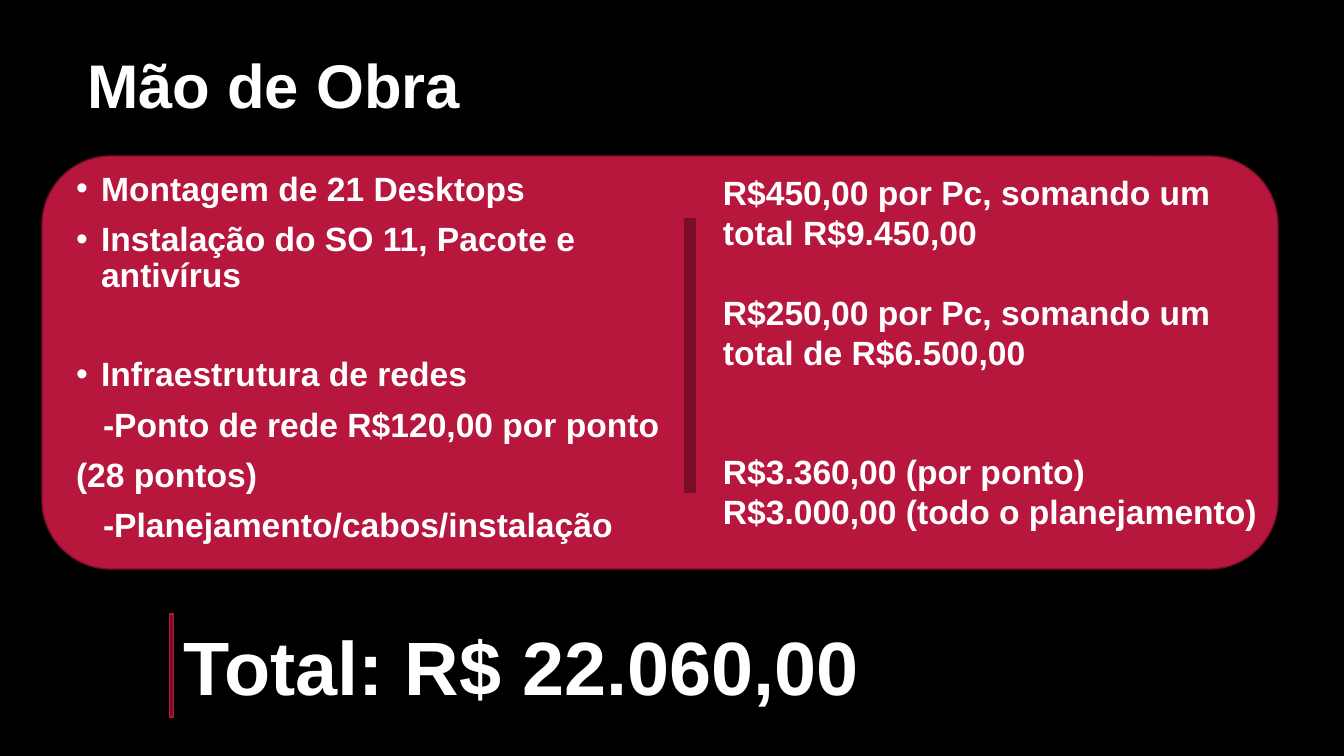
from lxml.etree import SubElement
from pptx import Presentation
from pptx.dml.color import RGBColor
from pptx.enum.shapes import MSO_SHAPE
from pptx.enum.text import MSO_ANCHOR, MSO_AUTO_SIZE, PP_ALIGN
from pptx.oxml.ns import qn
from pptx.util import Emu, Pt

PX = 12192000 / 1344
THEME = {
    "font": "Arial",
    "black": RGBColor(0x00, 0x00, 0x00),
    "white": RGBColor(0xFF, 0xFF, 0xFF),
    "crimson": RGBColor(0xB7, 0x16, 0x3D),
    "wine": RGBColor(0x7A, 0x0E, 0x29),
    "title": Pt(44),
    "text": Pt(24),
    "total": Pt(54),
}


def place(sp, *box):
    for name, px in zip(("left", "top", "width", "height"), box):
        setattr(sp, name, Emu(round(px * PX)))


def write(sp, lines, size, auto_size, spacing=None):
    tf = sp.text_frame
    frame_format = {"word_wrap": True, "auto_size": auto_size, "vertical_anchor": MSO_ANCHOR.TOP}
    for name, value in frame_format.items():
        setattr(tf, name, value)
    for i, (text, before) in enumerate(lines):
        p = tf.paragraphs[0] if i == 0 else tf.add_paragraph()
        para_format = {"alignment": PP_ALIGN.LEFT, "line_spacing": spacing,
                       "space_before": Pt(before), "space_after": Pt(0)}
        for name, value in para_format.items():
            setattr(p, name, value)
        r = p.add_run()
        r.text = text
        for name, value in {"name": THEME["font"], "size": size, "bold": True}.items():
            setattr(r.font, name, value)
        r.font.color.rgb = THEME["white"]


prs = Presentation()
prs.slide_width, prs.slide_height = Emu(round(1344 * PX)), Emu(round(756 * PX))
s = prs.slides.add_slide(prs.slide_layouts[1])
s.background.fill.solid()
s.background.fill.fore_color.rgb = THEME["black"]

title, body = s.placeholders[0], s.placeholders[1]
place(title, 77, 50, 1008, 139)
write(title, [("Mão de Obra", 0)], THEME["title"], MSO_AUTO_SIZE.NONE, 0.9)

services = [
    ("Montagem de 21 Desktops", 10, "bullet"),
    ("Instalação do SO 11, Pacote e antivírus", 10, "bullet"),
    ("Infraestrutura de redes", 45, "bullet"),
    ("-Ponto de rede R$120,00 por ponto", 10, "indent"),
    ("(28 pontos)", 10, "plain"),
    ("-Planejamento/cabos/instalação", 10, "indent"),
]
margins = {"bullet": (25, -25), "indent": (27, 0), "plain": (0, 0)}
place(body, 66, 167, 633, 658)
write(body, [(text, before) for text, before, kind in services],
      THEME["text"], MSO_AUTO_SIZE.NONE, 0.9)
for p, (text, before, kind) in zip(body.text_frame.paragraphs, services):
    pPr = p._p.get_or_add_pPr()
    for name, px in zip(("marL", "indent"), margins[kind]):
        pPr.set(name, str(round(px * PX)))
    if kind == "bullet":
        SubElement(pPr, qn("a:buFont")).set("typeface", THEME["font"])
        SubElement(pPr, qn("a:buChar")).set("char", "•")
    else:
        SubElement(pPr, qn("a:buNone"))

shapes = [
    (MSO_SHAPE.ROUNDED_RECTANGLE, (42, 156, 1236, 413), "crimson", "wine"),
    (MSO_SHAPE.MATH_MINUS, (681, -233, 18, 1177), "wine", "crimson"),
    (MSO_SHAPE.MATH_MINUS, (169, 447, 5, 437), "wine", "crimson"),
]
for kind, box, fill, line in shapes:
    sp = s.shapes.add_shape(kind, 0, 0, 0, 0)
    place(sp, *box)
    sp.shadow.inherit = False
    sp.fill.solid()
    sp.fill.fore_color.rgb = THEME[fill]
    sp.line.color.rgb = THEME[line]
    sp.line.width = Pt(1)
    if kind == MSO_SHAPE.ROUNDED_RECTANGLE:
        title.element.addprevious(sp.element)

prices = [
    ("R$450,00 por Pc, somando um total R$9.450,00", 0),
    ("R$250,00 por Pc, somando um total de R$6.500,00", 28),
    ("R$3.360,00 (por ponto)", 56),
    ("R$3.000,00 (todo o planejamento)", 0),
]
total = [("Total: R$ 22.060,00", 0)]
for box, lines, size in [((713, 167, 565, 377), prices, "text"),
                         ((174, 615, 766, 102), total, "total")]:
    sp = s.shapes.add_textbox(0, 0, 0, 0)
    place(sp, *box)
    write(sp, lines, THEME[size], MSO_AUTO_SIZE.SHAPE_TO_FIT_TEXT)

prs.save("out.pptx")
